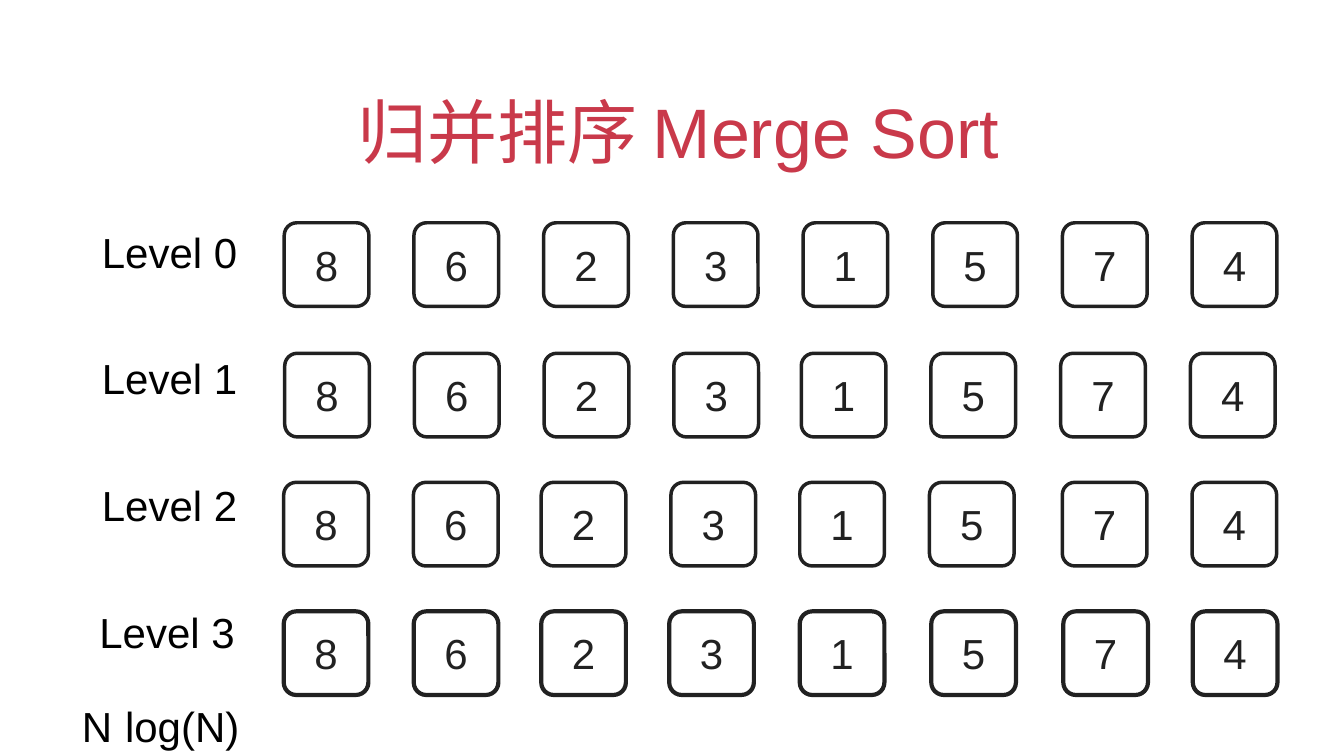
from pptx import Presentation
from pptx.dml.color import RGBColor
from pptx.enum.shapes import MSO_SHAPE as Shape
from pptx.enum.text import MSO_ANCHOR as Anchor, MSO_AUTO_SIZE as AutoSize, PP_ALIGN as Align
from pptx.util import Pt

PX = 9144  # EMU per px, 100 px to the inch
RED = RGBColor(0xC9, 0x39, 0x4A)
INK = RGBColor(0x21, 0x21, 0x21)
BLACK = RGBColor(0, 0, 0)

# Content
TITLE = "归并排序 Merge Sort"
NUMBERS = [8, 6, 2, 3, 1, 5, 7, 4]
# Each level: label, label left, top of its cells, line width, left of each equal run
LEVELS = [
    ("Level 0", 196, 442, 5, [564]),
    ("Level 1", 196, 701, 5, [565, 1590]),
    ("Level 2", 196, 957, 5, [563, 1074, 1587, 2108]),
    ("Level 3", 191, 1213, 6, [563, 821, 1074, 1328, 1587, 1848, 2110, 2367]),
]
COST = [("log(N)", 242, 239), ("N", 156, 73)]  # text, left, width

# Layout
CELL_W, CELL_H, CELL_PITCH = 168, 166, 257.4
LABEL_TOP, LABEL_PITCH, LABEL_W, LABEL_H = 443, 251.4, 281, 111
COST_TOP = 1385
INSET = 6


def px(length):
    return round(length * PX)


def write(shape, text, size, color, anchor=Anchor.MIDDLE, wrap=True):
    frame = shape.text_frame
    frame.text = text
    frame.word_wrap = wrap
    frame.vertical_anchor = anchor
    frame.margin_left = frame.margin_right = px(INSET)
    frame.margin_top = frame.margin_bottom = px(INSET)
    para = frame.paragraphs[0]
    para.alignment = Align.CENTER
    para.font.name = "Arial"
    para.font.size = Pt(size)
    para.font.color.rgb = color
    return frame


def add_label(page, text, left, top, width):
    box = page.shapes.add_textbox(px(left), px(top), px(width), px(LABEL_H))
    frame = write(box, text, 60, BLACK, wrap=False)
    frame.auto_size = AutoSize.SHAPE_TO_FIT_TEXT


def add_cell(page, number, left, top, line_width):
    cell = page.shapes.add_shape(
        Shape.ROUNDED_RECTANGLE, px(left), px(top), px(CELL_W), px(CELL_H))
    cell.adjustments[0] = 0.15
    cell.shadow.inherit = False
    cell.fill.background()
    cell.line.color.rgb = INK
    cell.line.width = Pt(line_width)
    write(cell, str(number), 60, INK)


def main():
    deck = Presentation()
    deck.slide_width, deck.slide_height = px(2667), px(1500)
    page = deck.slides.add_slide(deck.slide_layouts[5])

    # Title, with a first-line indent
    title = page.shapes.title
    title.left, title.top, title.width, title.height = map(px, (194, 127, 2278, 222))
    frame = write(title, TITLE, 100, RED, Anchor.BOTTOM)
    frame.auto_size = AutoSize.NONE
    frame.paragraphs[0]._p.get_or_add_pPr().set("indent", str(px(25)))

    # Levels: a label and the numbers split into equal runs
    for level, (label, label_left, top, line_width, run_lefts) in enumerate(LEVELS):
        add_label(page, label, label_left, LABEL_TOP + level * LABEL_PITCH, LABEL_W)
        run_length = len(NUMBERS) // len(run_lefts)
        for index, number in enumerate(NUMBERS):
            run, place = divmod(index, run_length)
            add_cell(page, number, run_lefts[run] + place * CELL_PITCH, top, line_width)

    # Total cost
    for text, left, width in COST:
        add_label(page, text, left, COST_TOP, width)

    deck.save("out.pptx")


if __name__ == "__main__":
    main()
